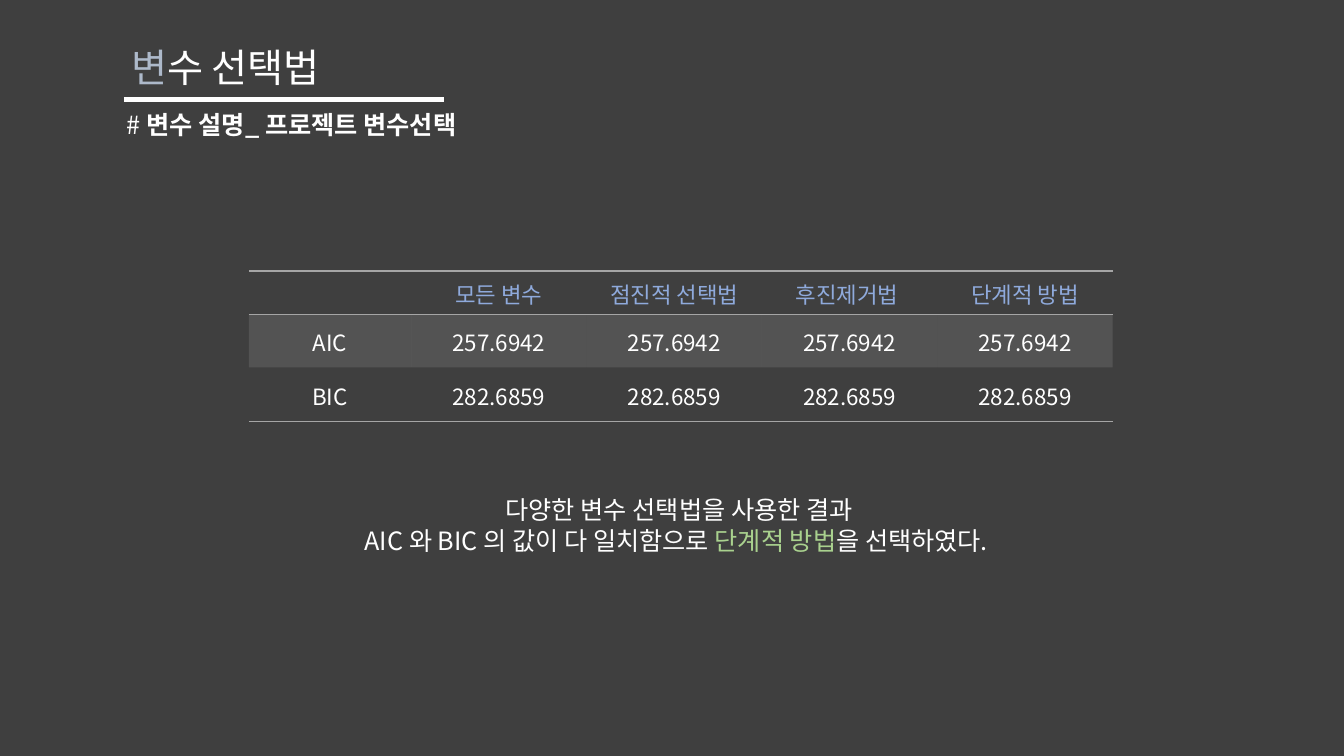
"""Build the slide comparing variable selection methods by AIC and BIC."""
from dataclasses import dataclass

from lxml import etree
from pptx import Presentation
from pptx.dml.color import RGBColor
from pptx.enum import shapes, text
from pptx.oxml import ns
from pptx.util import Cm, Pt


@dataclass(frozen=True)
class Theme:
    font: str = "Noto Sans CJK KR"
    background: str = "3F3F3F"
    white: str = "FFFFFF"
    initial: str = "ADB9CA"
    header: str = "8FAADC"
    rule: str = "A5A5A5"
    highlight: str = "A9D18E"
    title_size: int = 28
    body_size: int = 18
    table_size: int = 16


THEME = Theme()
METHODS = ["", "모든 변수", "점진적 선택법", "후진제거법 ", "단계적 방법"]
CRITERIA = [["AIC"] + ["257.6942"] * 4, ["BIC"] + ["282.6859"] * 4]


def add_xml(parent, tag, **attributes):
    return etree.SubElement(parent, ns.qn(tag), attributes)


def style_font(font, size, color):
    font.name = THEME.font
    font.size = Pt(size)
    font.color.rgb = RGBColor.from_string(color)
    add_xml(font._element, "a:ea", typeface=THEME.font)


def write_runs(paragraph, runs, size, align):
    paragraph.alignment = align
    colors = {color for _, color, _ in runs}
    weights = {bold for _, _, bold in runs}
    style_font(paragraph.font, size, runs[0][1])
    for words, color, bold in runs:
        run = paragraph.add_run()
        run.text = words
        if len(colors) > 1:
            run.font.color.rgb = RGBColor.from_string(color)
        if len(weights) > 1:
            run.font.bold = bold


def fill_box(box, place, paragraphs, size, align):
    box.left, box.top, box.width, box.height = (Cm(length) for length in place)
    frame = box.text_frame
    frame.word_wrap = True
    frame.auto_size = text.MSO_AUTO_SIZE.SHAPE_TO_FIT_TEXT
    frame.vertical_anchor = text.MSO_ANCHOR.TOP
    for index, runs in enumerate(paragraphs):
        paragraph = frame.add_paragraph() if index else frame.paragraphs[0]
        write_runs(paragraph, runs, size, align)
    return frame


def add_text(slide, place, paragraphs, size, align):
    box = slide.shapes.add_textbox(0, 0, 0, 0)
    return fill_box(box, place, paragraphs, size, align)


def add_underline(slide, left, right, top):
    underline = slide.shapes.add_connector(
        shapes.MSO_CONNECTOR.STRAIGHT, Cm(left), Cm(top), Cm(right), Cm(top))
    underline.line.color.rgb = RGBColor.from_string(THEME.white)
    underline.line.width = Pt(3.75)
    add_xml(underline._element.spPr, "a:effectLst")


def set_borders(cell, ruled):
    properties = cell._tc.get_or_add_tcPr()
    for side in ("L", "R", "T", "B"):
        border = add_xml(properties, f"a:ln{side}", w=str(Pt(1)))
        if side in ruled:
            paint = add_xml(border, "a:solidFill")
            add_xml(paint, "a:srgbClr", val=THEME.rule)
        else:
            add_xml(border, "a:noFill")


def set_cell(cell, words, color, ruled, shaded):
    cell.margin_left = cell.margin_right = cell.margin_top = Cm(0.03)
    cell.margin_bottom = 0
    cell.vertical_anchor = text.MSO_ANCHOR.MIDDLE
    write_runs(cell.text_frame.paragraphs[0], [(words, color, False)] if words else
               [("", color, False)], THEME.table_size, text.PP_ALIGN.CENTER)
    set_borders(cell, ruled)
    if shaded:
        cell.fill.solid()
        cell.fill.fore_color.rgb = RGBColor.from_string(THEME.rule)
        tint = cell._tc.tcPr.find(".//" + ns.qn("a:solidFill") + "[last()]")
        tint = cell._tc.tcPr.find(ns.qn("a:solidFill"))
        add_xml(tint[0], "a:alpha", val="20000")
    else:
        cell.fill.background()


def add_criteria_table(slide):
    rows = [METHODS] + CRITERIA
    widths = [4.09] + [4.42] * 4
    heights = [1.09, 1.34, 1.37]
    ruled_sides = ["TB", "T", "B"]
    table = slide.shapes.add_table(
        len(rows), len(widths), Cm(6.27), Cm(6.83),
        Cm(sum(widths)), Cm(sum(heights))).table
    table.first_row = table.horz_banding = False
    for column, width in zip(table.columns, widths):
        column.width = Cm(width)
    for r, values in enumerate(rows):
        table.rows[r].height = Cm(heights[r])
        color = THEME.white if r else THEME.header
        for c, words in enumerate(values):
            set_cell(table.cell(r, c), words, color, ruled_sides[r], r == 1)


def main():
    deck = Presentation()
    deck.slide_width, deck.slide_height = Cm(33.87), Cm(19.05)
    slide = deck.slides.add_slide(deck.slide_layouts[5])
    slide.background.fill.solid()
    slide.background.fill.fore_color.rgb = RGBColor.from_string(THEME.background)
    white = THEME.white

    fill_box(slide.shapes.title, (3.05, 0.97, 9.73, 1.45),
             [[("변", THEME.initial, False), ("수 선택법", white, False)]],
             THEME.title_size, text.PP_ALIGN.JUSTIFY)
    add_underline(slide, 3.12, 11.18, 2.51)
    add_text(slide, (2.95, 2.64, 14.81, 1.02),
             [[("#", white, False), (" 변수 설명_ 프로젝트 변수선택", white, True)]],
             THEME.body_size, text.PP_ALIGN.LEFT)
    add_criteria_table(slide)
    conclusion = add_text(
        slide, (6.88, 11.96, 20.47, 2.18),
        [[("다양한 변수 선택법을 사용한 결과", white, False)],
         [("AIC 와 BIC 의 값이 다 일치함으로 ", white, False),
          ("단계적 방법", THEME.highlight, False),
          ("을 선택하였다. ", white, False)]],
        THEME.body_size, text.PP_ALIGN.CENTER)
    conclusion.paragraphs[0].line_spacing = 1.5
    deck.save("out.pptx")


if __name__ == "__main__":
    main()
